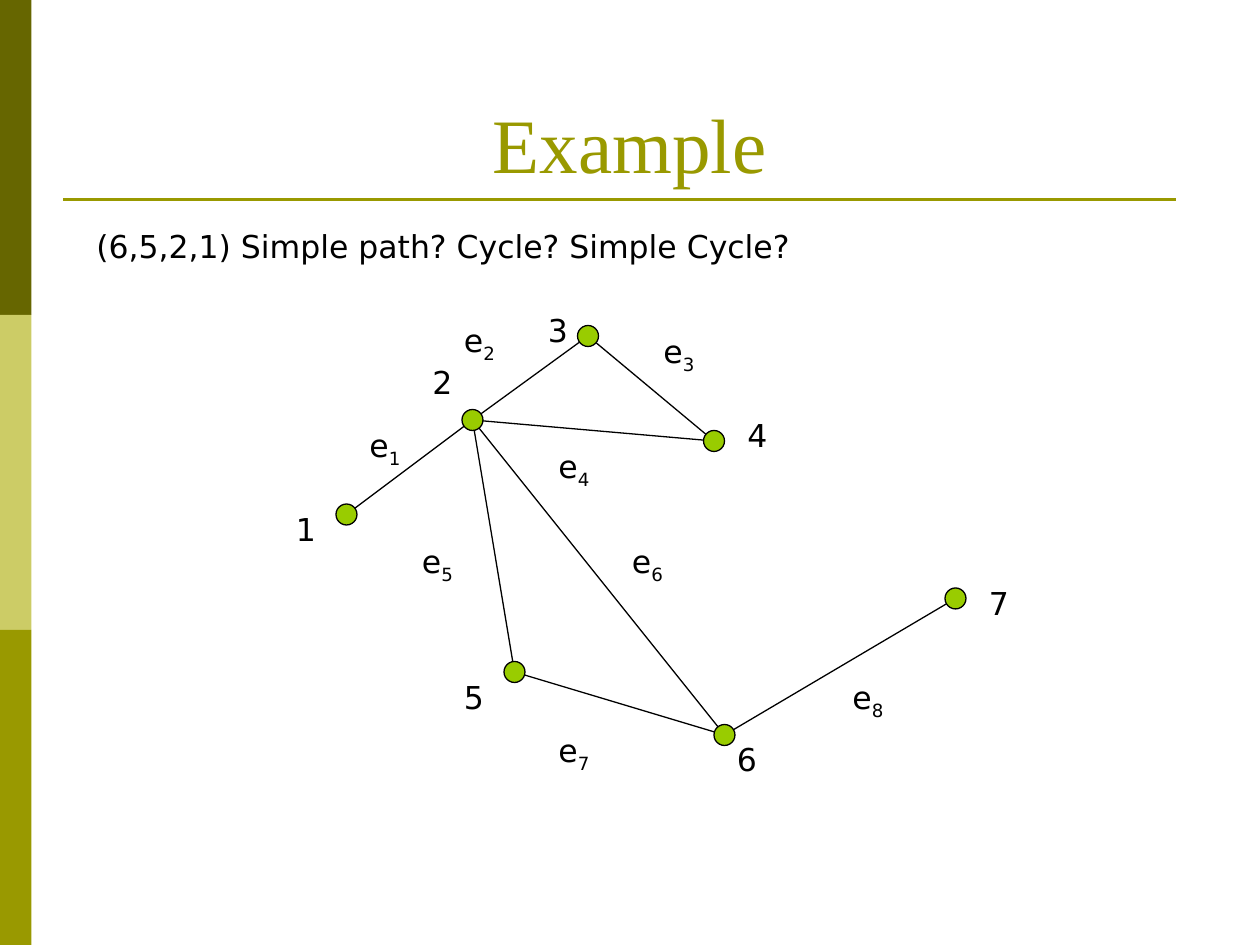
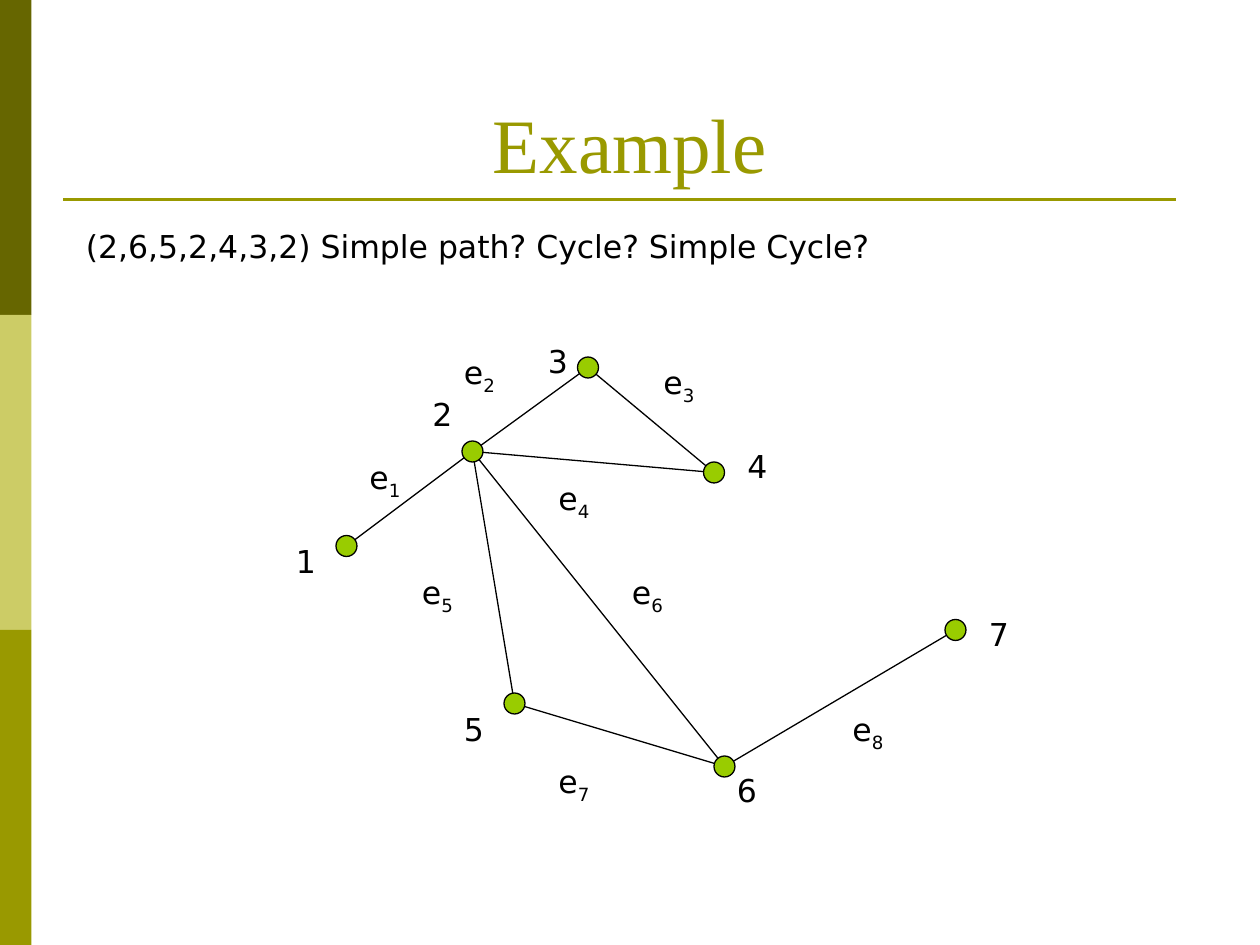
from dataclasses import dataclass

from lxml.etree import SubElement
from pptx import Presentation
from pptx.dml.color import RGBColor
from pptx.enum.shapes import MSO_CONNECTOR, MSO_SHAPE
from pptx.enum.text import MSO_ANCHOR, PP_ALIGN
from pptx.oxml.ns import qn
from pptx.util import Emu, Pt

PX = 9525  # EMU in one px, 96 px to the inch
SLIDE_WIDTH, SLIDE_HEIGHT = 960, 720


@dataclass(frozen=True)
class Theme:
    bands: tuple = ("666600", "CCCC66", "999900")
    accent: str = "999900"
    node: str = "99CC00"
    ink: str = "000000"
    title_font: str = "Times New Roman"
    body_font: str = "DejaVu Sans"
    title_size: int = 44
    body_size: int = 18
    rule_width: float = 1.5
    thin_width: float = 0.75


THEME = Theme()
TITLE = "Example"

# question, its left and width, downward shift of the graph
SLIDES = [
    ("(6,5,2,1) Simple path? Cycle? Simple Cycle?", 64, 728, 0),
    ("(2,6,5,2,4,3,2) Simple path? Cycle? Simple Cycle?", 56, 688, 24),
]

# node: (centre, top left of its label)
NODES = {
    1: ((264, 392), (216, 384)),
    2: ((360, 320), (320, 272)),
    3: ((448, 256), (408, 232)),
    4: ((544, 336), (560, 312)),
    5: ((392, 512), (344, 512)),
    6: ((552, 560), (552, 559)),
    7: ((728, 456), (744, 440)),
}

# edge: (start node, end node, top left of its label)
EDGES = {
    1: (1, 2, (272, 320)),
    2: (2, 3, (344, 240)),
    3: (3, 4, (496, 248)),
    4: (2, 4, (416, 336)),
    5: (2, 5, (312, 408)),
    6: (2, 6, (472, 408)),
    7: (5, 6, (416, 552)),
    8: (6, 7, (640, 512)),
}

NODE_SIZE = 16
NODE_LABEL = (32, 38)
EDGE_LABEL = (64, 42)
BAND_WIDTH = 24
TITLE_BOX = (48, 29, 864, 120)
RULE = ((48, 152), (896, 152))
QUESTION_TOP, QUESTION_HEIGHT = 168, 38


def scaled(*lengths):
    return [Emu(length * PX) for length in lengths]


def color(value):
    return RGBColor.from_string(value)


def add_line(slide, start, end, line_color, width):
    connector = slide.shapes.add_connector(
        MSO_CONNECTOR.STRAIGHT, *scaled(*start, *end))
    connector.line.color.rgb = color(line_color)
    connector.line.width = Pt(width)
    SubElement(connector._element.spPr, qn("a:effectLst"))


def add_filled(slide, kind, box, fill, outline=None):
    shape = slide.shapes.add_shape(kind, *scaled(*box))
    shape.shadow.inherit = False
    shape.fill.solid()
    shape.fill.fore_color.rgb = color(fill)
    if outline:
        shape.line.color.rgb = color(outline)
        shape.line.width = Pt(THEME.thin_width)
    else:
        shape.line.fill.background()


def add_text(slide, box, text, subscript=None):
    """Add a body text box and return its text frame."""
    frame = slide.shapes.add_textbox(*scaled(*box)).text_frame
    frame.word_wrap = True
    paragraph = frame.paragraphs[0]
    paragraph.font.name = THEME.body_font
    paragraph.font.size = Pt(THEME.body_size)
    paragraph.font.color.rgb = color(THEME.ink)
    paragraph.add_run().text = text
    if subscript:
        run = paragraph.add_run()
        run.text = subscript
        run._r.get_or_add_rPr().set("baseline", "-25000")
    return frame


def add_frame(slide):
    """Draw the side bands, the title and the rule below it."""
    band_height = SLIDE_HEIGHT // len(THEME.bands)
    for index, fill in enumerate(THEME.bands):
        box = (0, index * band_height, BAND_WIDTH, band_height)
        add_filled(slide, MSO_SHAPE.RECTANGLE, box, fill)
    add_line(slide, *RULE, THEME.accent, THEME.rule_width)

    title = add_text(slide, TITLE_BOX, TITLE)
    title.vertical_anchor = MSO_ANCHOR.BOTTOM
    paragraph = title.paragraphs[0]
    paragraph.alignment = PP_ALIGN.CENTER
    paragraph.font.name = THEME.title_font
    paragraph.font.size = Pt(THEME.title_size)
    paragraph.font.color.rgb = color(THEME.accent)


def add_graph(slide, shift):
    def lowered(point):
        return point[0], point[1] + shift

    for start, end, _ in EDGES.values():
        add_line(slide, lowered(NODES[start][0]), lowered(NODES[end][0]),
                 THEME.ink, THEME.thin_width)
    for center, _ in NODES.values():
        x, y = lowered(center)
        box = (x - NODE_SIZE // 2, y - NODE_SIZE // 2, NODE_SIZE, NODE_SIZE)
        add_filled(slide, MSO_SHAPE.FLOWCHART_CONNECTOR, box,
                   THEME.node, THEME.ink)
    for number, (_, corner) in NODES.items():
        add_text(slide, (*lowered(corner), *NODE_LABEL), str(number))
    for number, (_, _, corner) in EDGES.items():
        add_text(slide, (*lowered(corner), *EDGE_LABEL), "e", str(number))


def main():
    presentation = Presentation()
    presentation.slide_width, presentation.slide_height = scaled(
        SLIDE_WIDTH, SLIDE_HEIGHT)
    blank = presentation.slide_layouts[6]
    for question, left, width, shift in SLIDES:
        slide = presentation.slides.add_slide(blank)
        add_frame(slide)
        add_graph(slide, shift)
        add_text(slide, (left, QUESTION_TOP, width, QUESTION_HEIGHT), question)
    presentation.save("out.pptx")


if __name__ == "__main__":
    main()
